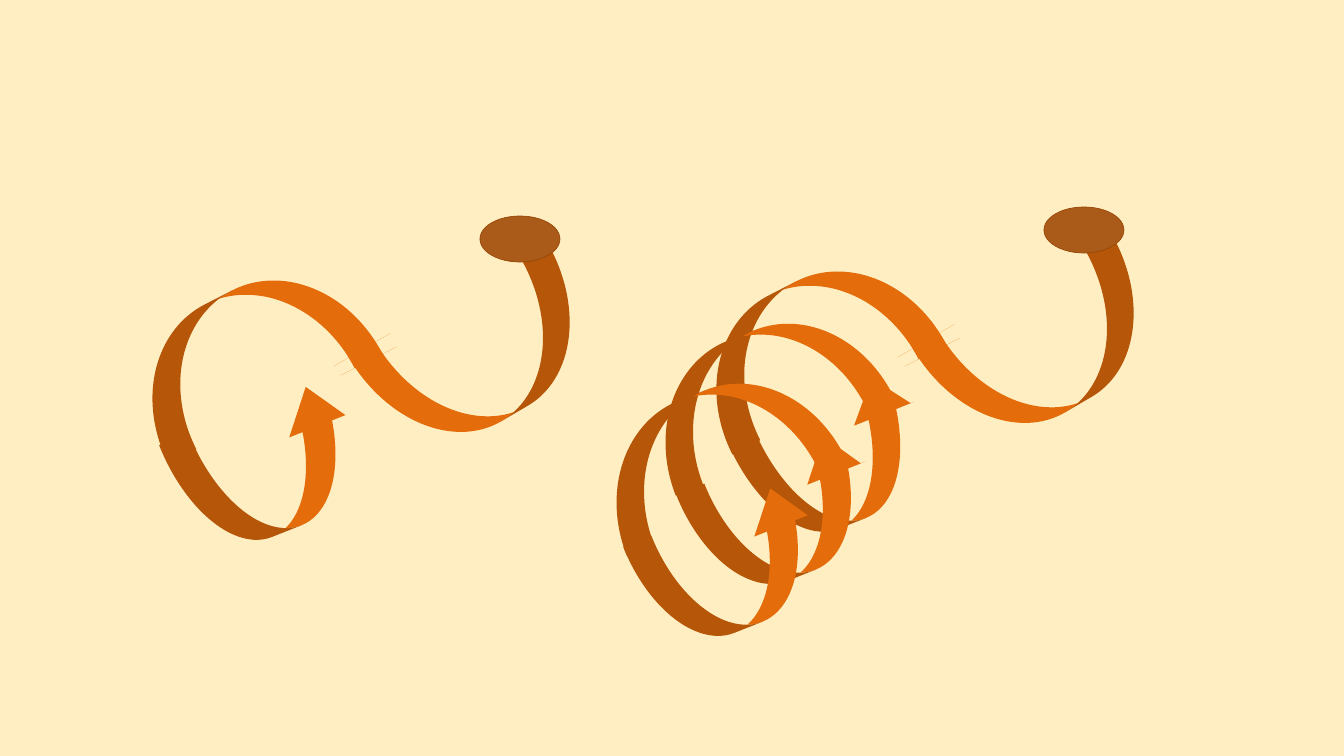
from dataclasses import dataclass

from pptx import Presentation
from pptx.dml.color import RGBColor as Color
from pptx.enum.shapes import MSO_SHAPE as Preset
from pptx.util import Emu, Pt

PIXEL = 914400 / 100.8


def px(length):
    return Emu(round(length * PIXEL))


@dataclass(frozen=True)
class Theme:
    background: str = "FFEEC2"
    ribbon: str = "E46C0A"
    cap: str = "AA5B1A"
    cap_edge: str = "984807"
    edge_width: float = 0.5


class Painter:
    """Holds the style and the current slide."""

    def __init__(self, page, theme):
        self.page, self.theme = page, theme
        fill = page.background.fill
        fill.solid()
        fill.fore_color.rgb = Color.from_string(theme.background)

    def group(self):
        return self.page.shapes.add_group_shape()

    def shape(self, group, preset, left, top, width, height, color):
        shape = group.shapes.add_shape(preset, *map(px, (left, top, width, height)))
        shape.shadow.inherit = False
        shape.fill.solid()
        shape.fill.fore_color.rgb = Color.from_string(color)
        shape.line.fill.background()
        return shape

    def ribbon(self, group, box, angle, adjust, flipped=False):
        band = self.shape(group, Preset.CURVED_UP_ARROW, *box, self.theme.ribbon)
        for index, value in enumerate(adjust):
            band.adjustments[index] = value
        if flipped:
            band._element.spPr.xfrm.set("flipV", "1")
        band.rotation = angle

    def cap(self, group, box):
        cap = self.shape(group, Preset.OVAL, *box, self.theme.cap)
        cap.line.color.rgb = Color.from_string(self.theme.cap_edge)
        cap.line.width = Pt(self.theme.edge_width)

    def arch(self, group, left, top, angle, thickness):
        self.ribbon(group, (left, top, 256, 125), angle, (thickness, 0.5, 0), True)

    def arrow(self, group, box, adjust=(0.25, 0.476, 0.322)):
        self.ribbon(group, box, 338.3, adjust)

    def spring_top(self, group, left, top):
        """Hanging ribbon, its cap and the first arch."""
        self.ribbon(group, (left + 224, top + 8, 247, 132), 149.7, (0.234, 0.5, 0), True)
        self.cap(group, (left + 354, top - 71, 80, 46))
        self.arch(group, left, top, 332.9, 0.25)


deck = Presentation()
deck.slide_width, deck.slide_height = px(1344), px(756)
painter = Painter(deck.slides.add_slide(deck.slide_layouts[6]), Theme())

# Long spring with three turns
long_spring = painter.group()
painter.spring_top(long_spring, 690, 278)
painter.arrow(long_spring, (742, 397, 188, 128), (0.231, 0.476, 0.296))
for arch_spot, arrow_spot in (((644, 328), (692, 456)), ((595, 388), (639, 508))):
    painter.arch(long_spring, *arch_spot, 338.5, 0.236)
    painter.arrow(long_spring, (*arrow_spot, 187, 121))

# Short spring with one turn
short_spring = painter.group()
painter.spring_top(short_spring, 126, 287)
painter.arrow(short_spring, (176, 406, 188, 127))

deck.save("out.pptx")
